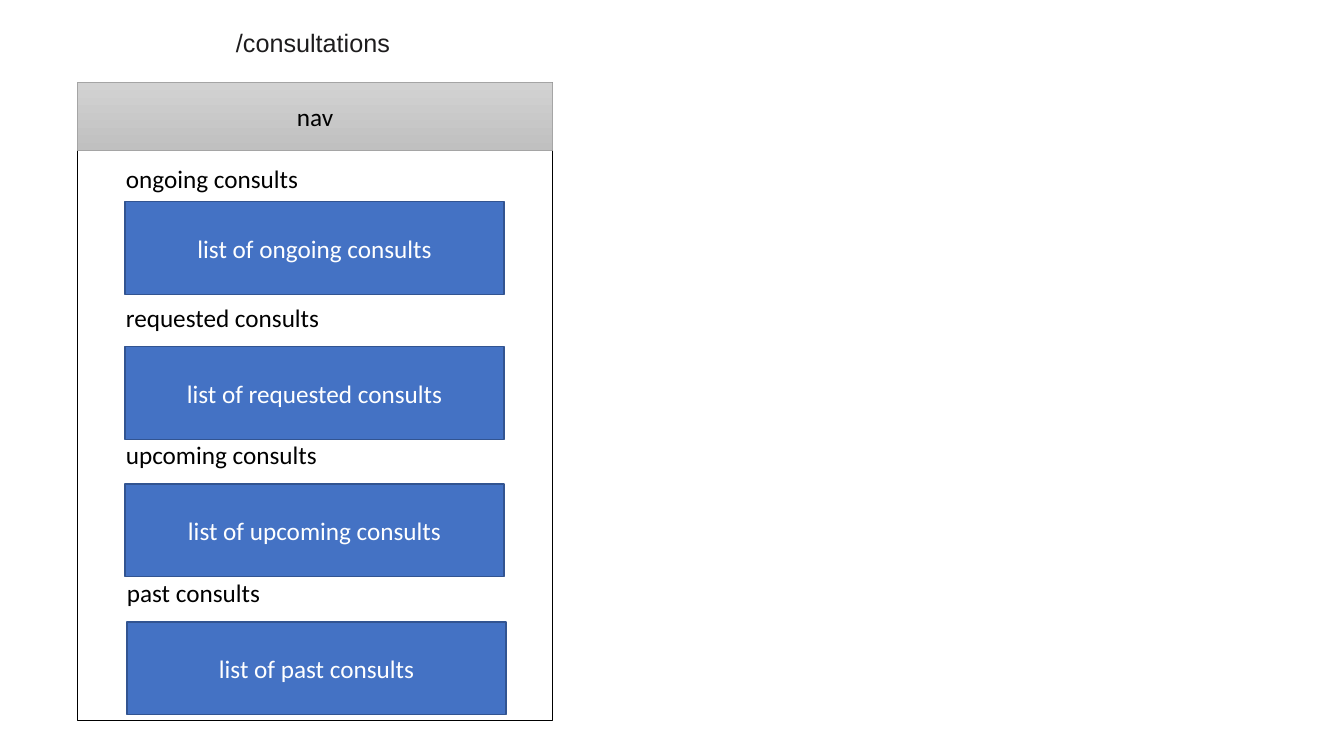
"""Build the wireframe slide of the consultations page."""
from dataclasses import dataclass

import pptx
import pptx.dml.color
import pptx.enum.shapes
import pptx.enum.text
import pptx.util

Inches = pptx.util.Inches
Anchor = pptx.enum.text.MSO_ANCHOR
Align = pptx.enum.text.PP_ALIGN


@dataclass(frozen=True)
class Theme:
    """Fonts, type size, line widths and colours of the slide."""
    font: str = "Calibri"
    route_font: str = "Arial"
    size: float = 18
    line: float = 1
    thin_line: float = 0.5
    black: str = "000000"
    white: str = "FFFFFF"
    route: str = "1D1C1D"
    list_fill: str = "4472C4"
    list_line: str = "325491"
    nav_top: str = "D2D2D2"
    nav_bottom: str = "C0C0C0"
    nav_line: str = "A5A5A5"


@dataclass(frozen=True)
class Section:
    """A heading with its list box; positions in inches."""
    name: str
    label_top: float
    list_top: float
    label_left: float = 1.15
    list_left: float = 1.24


THEME = Theme()
PAGE_LEFT, PAGE_TOP, PAGE_WIDTH, PAGE_HEIGHT = 0.77, 0.82, 4.71, 6.33
NAV_HEIGHT = 0.67
LABEL_WIDTH, LABEL_HEIGHT = 3.86, 0.4
LIST_WIDTH, LIST_HEIGHT = 3.76, 0.92
SECTIONS = (
    Section("ongoing", 1.57, 2.0),
    Section("requested", 2.95, 3.44),
    Section("upcoming", 4.31, 4.8),
    Section("past", 5.68, 6.17, label_left=1.16, list_left=1.26),
)


def rgb(value: str) -> pptx.dml.color.RGBColor:
    """Turn a hex string into a colour."""
    return pptx.dml.color.RGBColor.from_string(value)


def write(box, text: str, *, color: str = THEME.black, font: str = THEME.font,
          align=Align.LEFT, anchor=Anchor.TOP) -> None:
    """Put one formatted paragraph into a box."""
    frame = box.text_frame
    frame.word_wrap = True
    frame.vertical_anchor = anchor
    para = frame.paragraphs[0]
    para.alignment = align
    span = para.add_run()
    span.text = text
    span.font.name = font
    span.font.size = pptx.util.Pt(THEME.size)
    span.font.color.rgb = rgb(color)


def add_box(page, left: float, top: float, width: float, height: float, *,
            line: str, fill: str | None = None, weight: float = THEME.line):
    """Draw an outlined rectangle, unfilled unless a fill is given."""
    box = page.shapes.add_shape(pptx.enum.shapes.MSO_SHAPE.RECTANGLE, Inches(left),
                                Inches(top), Inches(width), Inches(height))
    box.shadow.inherit = False
    box.line.color.rgb = rgb(line)
    box.line.width = pptx.util.Pt(weight)
    if fill:
        box.fill.solid()
        box.fill.fore_color.rgb = rgb(fill)
    else:
        box.fill.background()
    return box


def add_section(page, section: Section) -> None:
    """Draw a section heading and its list box."""
    label = page.shapes.add_textbox(Inches(section.label_left), Inches(section.label_top),
                                    Inches(LABEL_WIDTH), Inches(LABEL_HEIGHT))
    write(label, f"{section.name} consults")
    box = add_box(page, section.list_left, section.list_top, LIST_WIDTH, LIST_HEIGHT,
                  line=THEME.list_line, fill=THEME.list_fill)
    write(box, f"list of {section.name} consults", color=THEME.white,
          align=Align.CENTER, anchor=Anchor.MIDDLE)


def add_nav(page) -> None:
    """Draw the shaded navigation bar."""
    nav = add_box(page, PAGE_LEFT, PAGE_TOP, PAGE_WIDTH, NAV_HEIGHT,
                  line=THEME.nav_line, weight=THEME.thin_line)
    nav.fill.gradient()
    nav.fill.gradient_angle = 270
    for stop, color in zip(nav.fill.gradient_stops, (THEME.nav_top, THEME.nav_bottom)):
        stop.color.rgb = rgb(color)
    write(nav, "nav", align=Align.CENTER, anchor=Anchor.MIDDLE)


def set_title(page) -> None:
    """Show the route in the title placeholder."""
    title = page.shapes.title
    title.left, title.top = Inches(2.24), Inches(0.22)
    title.width, title.height = Inches(2.81), Inches(0.4)
    title.text_frame.auto_size = pptx.enum.text.MSO_AUTO_SIZE.NONE
    write(title, "/consultations", color=THEME.route, font=THEME.route_font)


def main() -> None:
    """Build and save the deck."""
    deck = pptx.Presentation()
    deck.slide_width, deck.slide_height = Inches(13.33), Inches(7.5)
    page = deck.slides.add_slide(deck.slide_layouts.get_by_name("Title Only"))
    set_title(page)
    add_box(page, PAGE_LEFT, PAGE_TOP, PAGE_WIDTH, PAGE_HEIGHT, line=THEME.black)
    for section in SECTIONS:
        add_section(page, section)
    add_nav(page)
    deck.save("out.pptx")


main()
